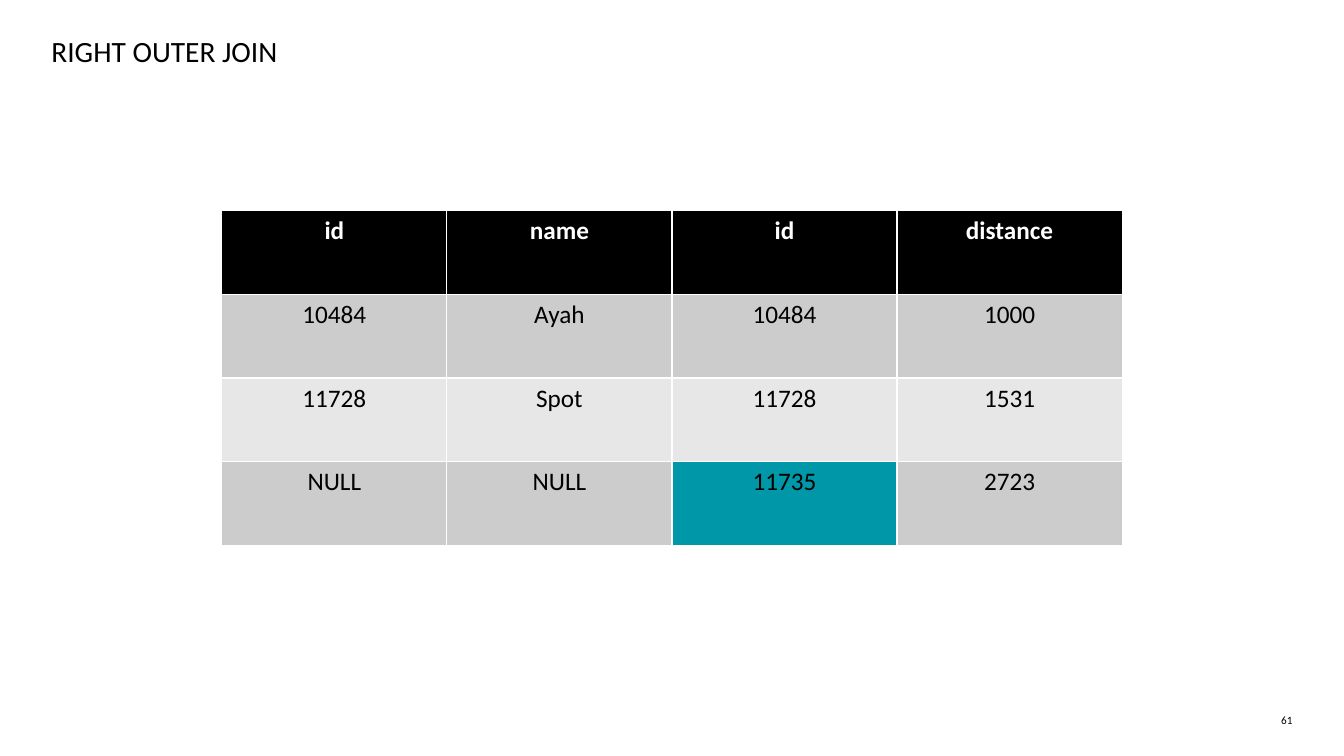
from pptx import Presentation, util as u
from pptx.dml.color import RGBColor
from pptx.enum import text as t

theme = {
    "font": "Calibri", "ink": "000000", "paper": "FFFFFF",
    "bands": ["CCCCCC", "E7E7E7"], "mark": "0097A9",
    "title": 21, "cell": 18, "page": 8,
}


def write(frame, words, size, color=theme["ink"], bold=False,
          align=t.PP_ALIGN.LEFT, inset=None):
    if inset is not None:
        frame.margin_left = frame.margin_right = u.Inches(inset)
        frame.margin_top = frame.margin_bottom = u.Inches(inset)
    frame.word_wrap = True
    frame.vertical_anchor = t.MSO_ANCHOR.TOP
    para = frame.paragraphs[0]
    para.alignment = align
    run = para.add_run()
    run.text = words
    run.font.name = theme["font"]
    run.font.size = u.Pt(size)
    run.font.bold = bold
    run.font.color.rgb = RGBColor.from_string(color)


deck = Presentation()
deck.slide_width, deck.slide_height = u.Inches(13.33), u.Inches(7.5)
slide = deck.slides.add_slide(deck.slide_layouts[5])

# Title
title = slide.shapes.title
title.left, title.top = u.Inches(0.51), u.Inches(0.33)
title.width, title.height = u.Inches(12.25), u.Inches(0.38)
write(title.text_frame, "RIGHT OUTER JOIN", theme["title"], inset=0)
title.text_frame.auto_size = t.MSO_AUTO_SIZE.NONE

# Join result: the default table style draws the white rules
rows = [
    ["id", "name", "id", "distance"],
    ["10484", "Ayah", "10484", "1000"],
    ["11728", "Spot", "11728", "1531"],
    ["NULL", "NULL", "11735", "2723"],
]
grid = slide.shapes.add_table(
    len(rows), len(rows[0]), u.Inches(2.2), u.Inches(2.09),
    u.Inches(8.93), u.Inches(3.32)).table
for r, row in enumerate(rows):
    head = r == 0
    for c, words in enumerate(row):
        cell = grid.cell(r, c)
        fill = theme["ink"] if head else theme["bands"][(r - 1) % 2]
        if words == "11735":  # the row with no match on the left
            fill = theme["mark"]
        cell.fill.solid()
        cell.fill.fore_color.rgb = RGBColor.from_string(fill)
        write(cell.text_frame, words, theme["cell"], bold=head,
              color=theme["paper"] if head else theme["ink"],
              align=t.PP_ALIGN.CENTER)

# Page number
page = slide.shapes.add_textbox(
    u.Inches(12.48), u.Inches(7.08), u.Inches(0.34), u.Inches(0.13))
write(page.text_frame, "61", theme["page"], align=t.PP_ALIGN.RIGHT, inset=0)

deck.save("out.pptx")
